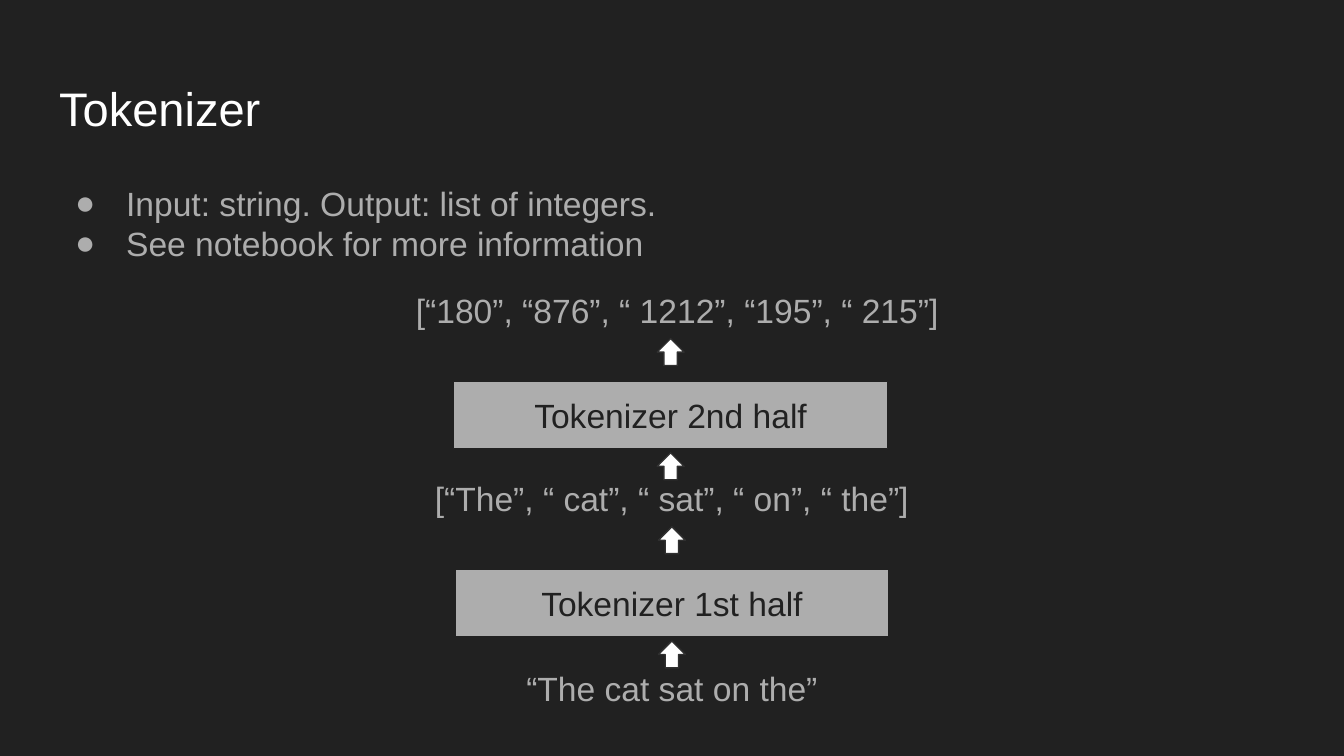
from lxml import etree
from pptx import Presentation
from pptx import util as u
from pptx.dml.color import RGBColor
from pptx.enum import shapes, text
from pptx.oxml.ns import qn

WIDTH = 10
HEIGHT = WIDTH * 9 / 16
MARGIN = 0.34
STAGE_PITCH = 1.4
COLORS = {
    "background": "212121",
    "title": "FFFFFF",
    "body": "ADADAD",
    "arrow": "FFFFFF",
    "arrow_edge": "303030",
}


def color(name):
    return RGBColor.from_string(COLORS[name])


def inches(*lengths):
    return [u.Inches(length) for length in lengths]


def add_bullet(para):
    props = para._p.get_or_add_pPr()
    props.set("marL", str(u.Inches(0.5)))
    props.set("indent", str(u.Inches(-0.38)))
    tint = etree.SubElement(props, qn("a:buClr"))
    etree.SubElement(tint, qn("a:srgbClr"), val=COLORS["body"])
    etree.SubElement(props, qn("a:buFont"), typeface="Arial")
    etree.SubElement(props, qn("a:buChar"), char="●")


def write(shape, *lines, size=18, ink="body", align=text.PP_ALIGN.CENTER,
          anchor=text.MSO_ANCHOR.TOP, bullets=False):
    frame = shape.text_frame
    frame.word_wrap = True
    frame.auto_size = text.MSO_AUTO_SIZE.NONE
    frame.vertical_anchor = anchor
    frame.margin_left = frame.margin_right = u.Inches(0.1)
    frame.margin_top = frame.margin_bottom = u.Inches(0.1)
    for index, line in enumerate(lines):
        para = frame.add_paragraph() if index else frame.paragraphs[0]
        para.alignment = align
        if bullets:
            add_bullet(para)
        span = para.add_run()
        span.text = line
        span.font.name = "Arial"
        span.font.size = u.Pt(size)
        span.font.color.rgb = color(ink)


def add_block(page, kind, left, top, width, height, fill, edge):
    block = page.shapes.add_shape(kind, *inches(left, top, width, height))
    block.shadow.inherit = False
    block.fill.solid()
    block.fill.fore_color.rgb = color(fill)
    block.line.color.rgb = color(edge)
    block.line.width = u.Pt(0.75)
    return block


def add_caption(page, center, top, width, caption):
    box = page.shapes.add_textbox(*inches(center - width / 2, top, width, 0.6))
    write(box, caption)


def add_header(page, left, top, width, height):
    title = page.shapes.title
    title.left, title.top, title.width, title.height = inches(left, top, width, height)
    write(title, "Tokenizer", size=25.2, ink="title", align=text.PP_ALIGN.LEFT)


def add_points(page, left, top, width, height):
    box = page.shapes.add_textbox(*inches(left, top, width, height))
    write(box, "Input: string. Output: list of integers.",
          "See notebook for more information",
          align=text.PP_ALIGN.LEFT, bullets=True)


def add_stage(page, center, top, width, label, result, result_box):
    """Place, from the top down, the result, an arrow, the step and an arrow."""
    result_center, result_width = result_box
    add_caption(page, result_center, top, result_width, result)
    step = add_block(page, shapes.MSO_SHAPE.RECTANGLE, center - width / 2,
                     top + 0.78, width, 0.5, "body", "background")
    write(step, label, ink="background", anchor=text.MSO_ANCHOR.MIDDLE)
    for offset in (0.46, 1.31):
        add_block(page, shapes.MSO_SHAPE.UP_ARROW, center - 0.1, top + offset,
                  0.2, 0.2, "arrow", "arrow_edge")


def add_flow(page, center, top, width):
    stages = [
        ("Tokenizer 2nd half", "[“180”, “876”, “ 1212”, “195”, “ 215”]",
         -0.01, (center + 0.04, 4.4)),
        ("Tokenizer 1st half", "[“The”, “ cat”, “ sat”, “ on”, “ the”]",
         0, (center, 3.98)),
    ]
    for index, (label, result, shift, result_box) in enumerate(stages):
        add_stage(page, center + shift, top + index * STAGE_PITCH, width,
                  label, result, result_box)
    add_caption(page, center, top + len(stages) * STAGE_PITCH + 0.01, 2.77,
                "“The cat sat on the”")


def main():
    deck = Presentation()
    deck.slide_width, deck.slide_height = inches(WIDTH, HEIGHT)
    page = deck.slides.add_slide(deck.slide_layouts[5])
    page.background.fill.solid()
    page.background.fill.fore_color.rgb = color("background")
    content_width = WIDTH - 2 * MARGIN
    add_header(page, MARGIN, 0.49, content_width, 0.63)
    add_points(page, MARGIN, 1.26, content_width, 0.8)
    add_flow(page, WIDTH / 2, 2.06, 3.23)
    deck.save("out.pptx")


if __name__ == "__main__":
    main()
